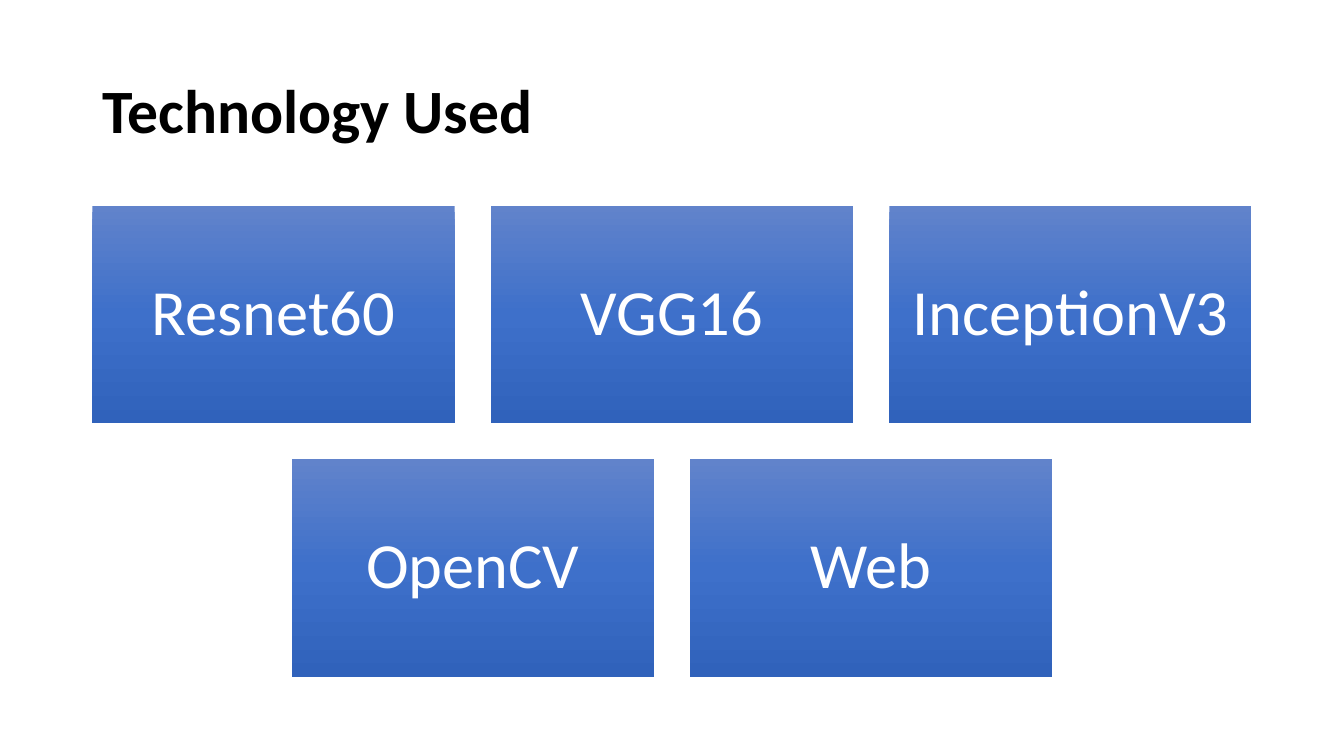
from copy import deepcopy

from pptx import Presentation
from pptx.dml.color import RGBColor
from pptx.enum import shapes, text
from pptx.oxml.ns import qn
from pptx.util import Pt

TITLE = "Technology Used"
TECHNOLOGY_ROWS = [["Resnet60", "VGG16", "InceptionV3"], ["OpenCV", "Web"]]

COLOURS = {
    "background": "FFFFFF",
    "title": "000000",
    "label": "FFFFFF",
    "card_top": "6183CB",
    "card_middle": "3E70CA",
    "card_bottom": "3062BB",
}
CARD_STOPS = [(0, "card_top"), (0.5, "card_middle"), (1, "card_bottom")]
TITLE_FORMAT = {"name": "Calibri", "size": Pt(44), "bold": True}
LABEL_FORMAT = {"name": "Calibri", "size": Pt(46), "bold": False}

SLIDE_WIDTH, SLIDE_HEIGHT = 960, 540
MARGIN = 66
CONTENT_WIDTH = SLIDE_WIDTH - 2 * MARGIN
TITLE_TOP, TITLE_HEIGHT = 28.75, 104.4
CARDS_TOP = 147
CARD_WIDTH = 258.75
CARD_HEIGHT = 0.6 * CARD_WIDTH
GAP = 0.1 * CARD_WIDTH
CARD_INSET = 13.8


def colour(name):
    return RGBColor.from_string(COLOURS[name])


def write_text(shape, words, font_format, colour_name, alignment):
    frame = shape.text_frame
    frame.word_wrap = True
    frame.vertical_anchor = text.MSO_ANCHOR.MIDDLE
    paragraph = frame.paragraphs[0]
    paragraph.text = words
    paragraph.alignment = alignment
    paragraph.line_spacing = 0.9
    for attribute, value in font_format.items():
        setattr(paragraph.font, attribute, value)
    paragraph.font.color.rgb = colour(colour_name)


def fill_card(card):
    """Shade the card from top to bottom through three colours."""
    card.fill.gradient()
    card.fill.gradient_angle = 270
    stop_list = card.fill.gradient_stops
    first_stop = next(card._element.spPr.iter(qn("a:gs")))
    first_stop.addnext(deepcopy(first_stop))
    stop_list = card.fill.gradient_stops
    for stop, (position, colour_name) in zip(stop_list, CARD_STOPS):
        stop.position = position
        stop.color.rgb = colour(colour_name)


def add_card(slide, label, left, top):
    card = slide.shapes.add_shape(
        shapes.MSO_SHAPE.RECTANGLE, Pt(left), Pt(top), Pt(CARD_WIDTH), Pt(CARD_HEIGHT)
    )
    card.shadow.inherit = False
    card.line.fill.background()
    fill_card(card)
    for side in ("left", "top", "right", "bottom"):
        setattr(card.text_frame, f"margin_{side}", Pt(CARD_INSET))
    write_text(card, label, LABEL_FORMAT, "label", text.PP_ALIGN.CENTER)


def main():
    presentation = Presentation()
    presentation.slide_width = Pt(SLIDE_WIDTH)
    presentation.slide_height = Pt(SLIDE_HEIGHT)
    slide = presentation.slides.add_slide(presentation.slide_layouts[6])
    slide.background.fill.solid()
    slide.background.fill.fore_color.rgb = colour("background")

    title = slide.shapes.add_textbox(
        Pt(MARGIN), Pt(TITLE_TOP), Pt(CONTENT_WIDTH), Pt(TITLE_HEIGHT)
    )
    write_text(title, TITLE, TITLE_FORMAT, "title", text.PP_ALIGN.LEFT)

    for row, labels in enumerate(TECHNOLOGY_ROWS):
        row_width = len(labels) * (CARD_WIDTH + GAP) - GAP
        row_left = (SLIDE_WIDTH - row_width) / 2
        top = CARDS_TOP + row * (CARD_HEIGHT + GAP)
        for column, label in enumerate(labels):
            add_card(slide, label, row_left + column * (CARD_WIDTH + GAP), top)

    presentation.save("out.pptx")


if __name__ == "__main__":
    main()
